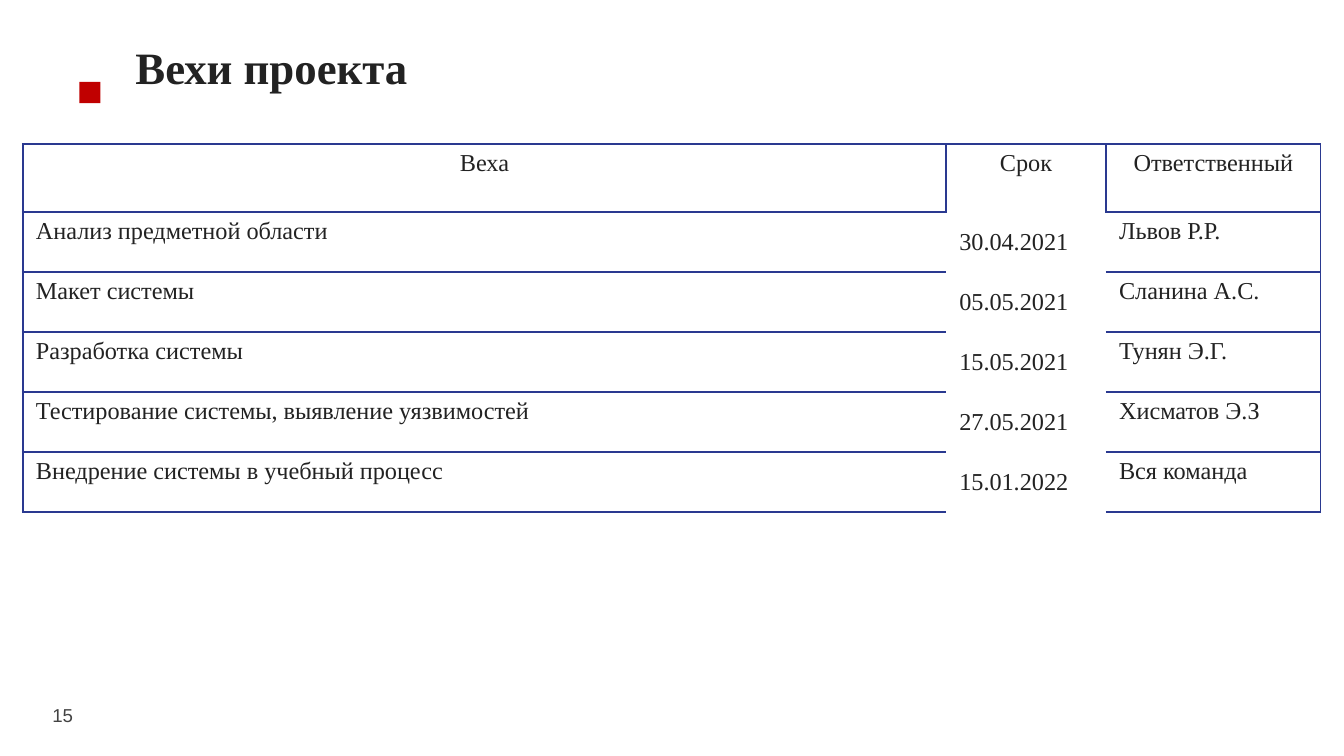
"""Build the project milestones slide."""
from lxml import etree
from pptx import Presentation
from pptx import util as u
from pptx.dml.color import RGBColor
from pptx.enum import shapes, text
from pptx.oxml.ns import qn

INK, LINE, RED, GREY, WHITE = "222222", "2A3990", "C00000", "434343", "FFFFFF"
SERIF = "Times New Roman"


def paint(fill, colour):
    fill.solid()
    fill.fore_color.rgb = RGBColor.from_string(colour)


def write(frame, words, size, colour, font=SERIF, bold=False):
    para = frame.paragraphs[0]
    span = para.add_run()
    span.text = words
    formats = {"name": font, "size": u.Pt(size), "bold": bold}
    for name, value in formats.items():
        setattr(span.font, name, value)
    paint(span.font.fill, colour)
    return para


deck = Presentation()
deck.slide_width, deck.slide_height = u.Cm(25.4), u.Cm(14.29)
page = deck.slides.add_slide(deck.slide_layouts[6])
paint(page.background.fill, WHITE)

labels = [
    ((2.31, 0.36, 16.1, 1.8), ("Вехи проекта", 24, INK, SERIF, True)),
    ((0.74, 13.13, 5.92, 0.76), ("15", 10, GREY, "Arial")),
]
for place, content in labels:
    box = page.shapes.add_textbox(*map(u.Cm, place))
    box.text_frame.word_wrap = True
    box.text_frame.vertical_anchor = text.MSO_ANCHOR.MIDDLE
    write(box.text_frame, *content)

marker = page.shapes.add_shape(
    shapes.MSO_SHAPE.RECTANGLE, u.Cm(1.5), u.Cm(1.55), u.Cm(0.4), u.Cm(0.4))
marker.shadow.inherit = False
paint(marker.fill, RED)
marker.line.fill.background()

milestones = [
    ("Веха", "Срок", "Ответственный"),
    ("Анализ предметной области", "30.04.2021", "Львов Р.Р."),
    ("Макет системы", "05.05.2021", "Сланина А.С."),
    ("Разработка системы", "15.05.2021", "Тунян Э.Г."),
    ("Тестирование системы, выявление уязвимостей", "27.05.2021", "Хисматов Э.З"),
    ("Внедрение системы в учебный процесс", "15.01.2022", "Вся команда"),
]
widths = [17.45, 3.02, 4.06]
heights = [1.29] + [1.09] * 5
header_sides = ["LRTB", "LRT", "LRTB"]
body_sides = ["LTB", "", "RTB"]

table = page.shapes.add_table(
    len(milestones), len(widths), u.Cm(0.43), u.Cm(2.72),
    u.Cm(sum(widths)), u.Cm(sum(heights))).table
table.first_row = table.horz_banding = False
for column, width in zip(table.columns, widths):
    column.width = u.Cm(width)
for row, height in zip(table.rows, heights):
    row.height = u.Cm(height)

for r, milestone in enumerate(milestones):
    for c, words in enumerate(milestone):
        cell = table.cell(r, c)
        is_date = r > 0 and c == 1
        pad = u.Cm(0.25 if is_date else 0.11)
        margins = {"margin_left": u.Cm(0.25), "margin_right": u.Cm(0.25),
                   "margin_top": pad, "margin_bottom": pad}
        for name, value in margins.items():
            setattr(cell, name, value)
        cell.fill.background()
        para = write(cell.text_frame, words, 13, INK)
        if r == 0:
            para.alignment = text.PP_ALIGN.CENTER
        if is_date:
            para.line_spacing = 1.15
        sides = (body_sides if r else header_sides)[c]
        properties = cell._tc.get_or_add_tcPr()
        for position, side in enumerate("LRTB"):
            border = etree.Element(qn(f"a:ln{side}"), w=str(u.Pt(1)))
            if side in sides:
                solid = etree.SubElement(border, qn("a:solidFill"))
                etree.SubElement(solid, qn("a:srgbClr"), val=LINE)
            else:
                etree.SubElement(border, qn("a:noFill"))
            properties.insert(position, border)

deck.save("out.pptx")
